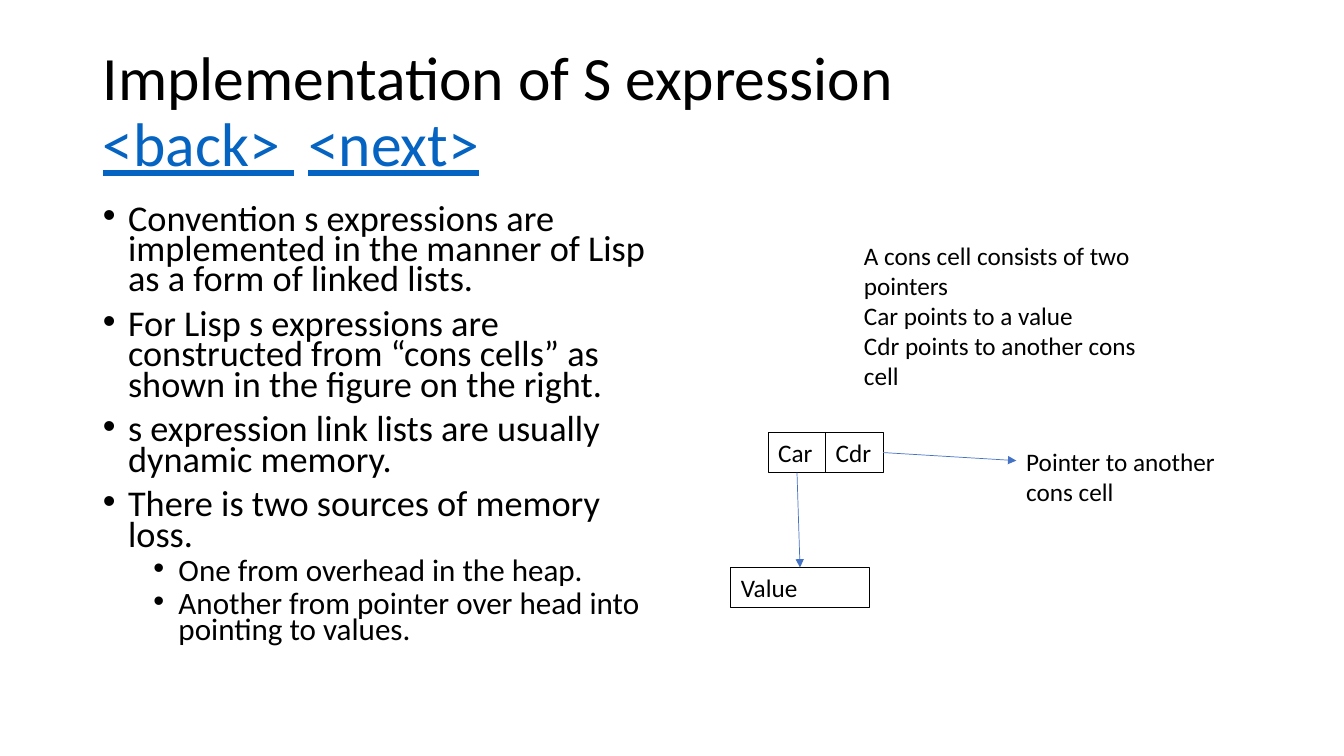
from dataclasses import dataclass

from lxml.etree import SubElement
from pptx import Presentation
from pptx.dml.color import RGBColor
from pptx.enum.shapes import MSO_CONNECTOR, MSO_SHAPE
from pptx.enum.text import MSO_ANCHOR, MSO_AUTO_SIZE, PP_ALIGN
from pptx.oxml.ns import qn
from pptx.shapes.autoshape import Shape
from pptx.shapes.connector import Connector
from pptx.slide import Slide
from pptx.text.text import Font, TextFrame
from pptx.util import Inches, Pt

BLACK = RGBColor(0x00, 0x00, 0x00)
LINK_BLUE = RGBColor(0x05, 0x63, 0xC1)
ARROW_BLUE = RGBColor(0x44, 0x72, 0xC4)
FONT_NAME = "Calibri"
CELL_LEFT, CELL_TOP = 7.62, 4.29
CELL_WIDTH, CELL_HEIGHT = 0.57, 0.4


@dataclass
class Area:
    left: float
    top: float
    width: float
    height: float


@dataclass
class Level:
    size: float
    indent: float
    space_before: float


@dataclass
class Point:
    text: str
    level: int = 0


LEVELS = [Level(25.9, 0.25, 10), Level(22.2, 0.75, 5)]
POINTS = [
    Point("Convention s expressions are implemented in the manner of Lisp "
          "as a form of linked lists."),
    Point("For Lisp s expressions are constructed from “cons cells” as shown "
          "in the figure on the right."),
    Point("s expression link lists are usually dynamic memory."),
    Point("There is two sources of memory loss."),
    Point("One from overhead in the heap.", 1),
    Point("Another from pointer over head into pointing to values.", 1),
]


def style_font(font: Font, size: float, color: RGBColor = BLACK) -> None:
    font.name = FONT_NAME
    font.size = Pt(size)
    font.color.rgb = color


def place(shape: Shape, area: Area) -> None:
    shape.left, shape.top = Inches(area.left), Inches(area.top)
    shape.width, shape.height = Inches(area.width), Inches(area.height)


def fill_title(title: Shape) -> None:
    place(title, Area(0.92, 0.4, 11.5, 1.45))
    frame = title.text_frame
    frame.auto_size = MSO_AUTO_SIZE.NONE
    frame.vertical_anchor = MSO_ANCHOR.MIDDLE
    frame.text = "Implementation of S expression\v"
    heading = frame.paragraphs[0]
    heading.alignment = PP_ALIGN.LEFT
    heading.line_spacing = 0.9
    for words in ("<back> ", " ", "<next>"):
        heading.add_run().text = words
    for run in heading.runs:
        is_link = run.text.startswith("<")
        style_font(run.font, 44, LINK_BLUE if is_link else BLACK)
        run.font.underline = is_link


def fill_points(body: Shape) -> None:
    place(body, Area(0.92, 2, 5.67, 4.76))
    frame = body.text_frame
    frame.auto_size = MSO_AUTO_SIZE.NONE
    frame.text = "\n".join(point.text for point in POINTS)
    for index, (paragraph, point) in enumerate(zip(frame.paragraphs, POINTS)):
        level = LEVELS[point.level]
        paragraph.level = point.level
        properties = paragraph._p.get_or_add_pPr()
        properties.set("marL", str(Inches(level.indent)))
        properties.set("indent", str(Inches(-0.25)))
        SubElement(properties, qn("a:buFont"), typeface="Arial")
        SubElement(properties, qn("a:buChar"), char="•")
        paragraph.line_spacing = 0.7
        paragraph.space_before = Pt(level.space_before if index else 0)
        style_font(paragraph.runs[0].font, level.size)


def write_label(frame: TextFrame, text: str, wrap: bool = True) -> None:
    frame.text = text
    frame.word_wrap = wrap
    frame.auto_size = MSO_AUTO_SIZE.SHAPE_TO_FIT_TEXT
    frame.vertical_anchor = MSO_ANCHOR.TOP
    for paragraph in frame.paragraphs:
        paragraph.alignment = PP_ALIGN.LEFT
        style_font(paragraph.runs[0].font, 18)


def add_cell(slide: Slide, text: str, area: Area) -> Shape:
    cell = slide.shapes.add_shape(MSO_SHAPE.RECTANGLE, 0, 0, 0, 0)
    place(cell, area)
    cell.shadow.inherit = False
    cell.fill.background()
    cell.line.color.rgb = BLACK
    cell.line.width = Pt(0.75)
    write_label(cell.text_frame, text)
    return cell


def add_note(slide: Slide, text: str, area: Area, wrap: bool = True) -> None:
    note = slide.shapes.add_textbox(0, 0, 0, 0)
    place(note, area)
    write_label(note.text_frame, text, wrap)


def add_pointer(slide: Slide, source: Shape, site: int,
                end_x: float, end_y: float) -> Connector:
    """Draw an arrow from a connection site of source to a point."""
    pointer = slide.shapes.add_connector(
        MSO_CONNECTOR.STRAIGHT, 0, 0, Inches(end_x), Inches(end_y))
    pointer.begin_connect(source, site)
    pointer.line.color.rgb = ARROW_BLUE
    pointer.line.width = Pt(0.5)
    SubElement(pointer.line._get_or_add_ln(), qn("a:tailEnd"), type="triangle")
    SubElement(pointer._element.spPr, qn("a:effectLst"))
    return pointer


def draw_cons_cell(slide: Slide) -> None:
    car, cdr = [
        add_cell(slide, name, Area(CELL_LEFT + column * CELL_WIDTH, CELL_TOP,
                                   CELL_WIDTH, CELL_HEIGHT))
        for column, name in enumerate(("Car", "Cdr"))
    ]
    value = add_cell(slide, "Value", Area(7.25, 5.63, 1.37, CELL_HEIGHT))
    add_pointer(slide, car, 2, 7.94, 5.63).end_connect(value, 0)
    add_pointer(slide, cdr, 3, 10.08, 4.57)
    add_note(slide, "Pointer to another\ncons cell",
             Area(10.08, 4.38, 2.15, 0.71), wrap=False)
    add_note(slide, "A cons cell consists of two pointers\n"
                    "Car points to a value\n"
                    "Cdr points to another cons cell",
             Area(8.47, 2.33, 3.05, 1.62))


def main() -> None:
    presentation = Presentation()
    presentation.slide_width = Inches(13.33)
    presentation.slide_height = Inches(7.5)
    slide = presentation.slides.add_slide(presentation.slide_layouts[1])
    fill_title(slide.shapes.title)
    fill_points(slide.placeholders[1])
    draw_cons_cell(slide)
    presentation.save("out.pptx")


if __name__ == "__main__":
    main()
